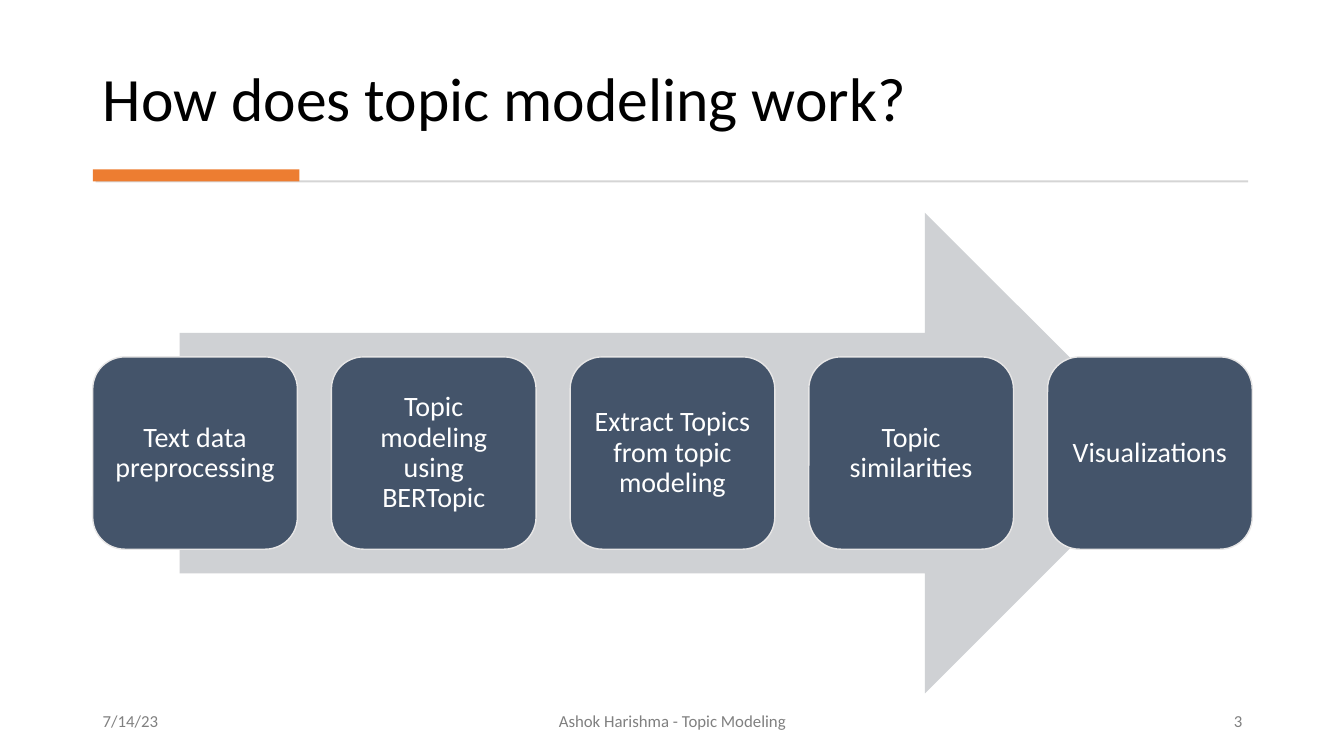
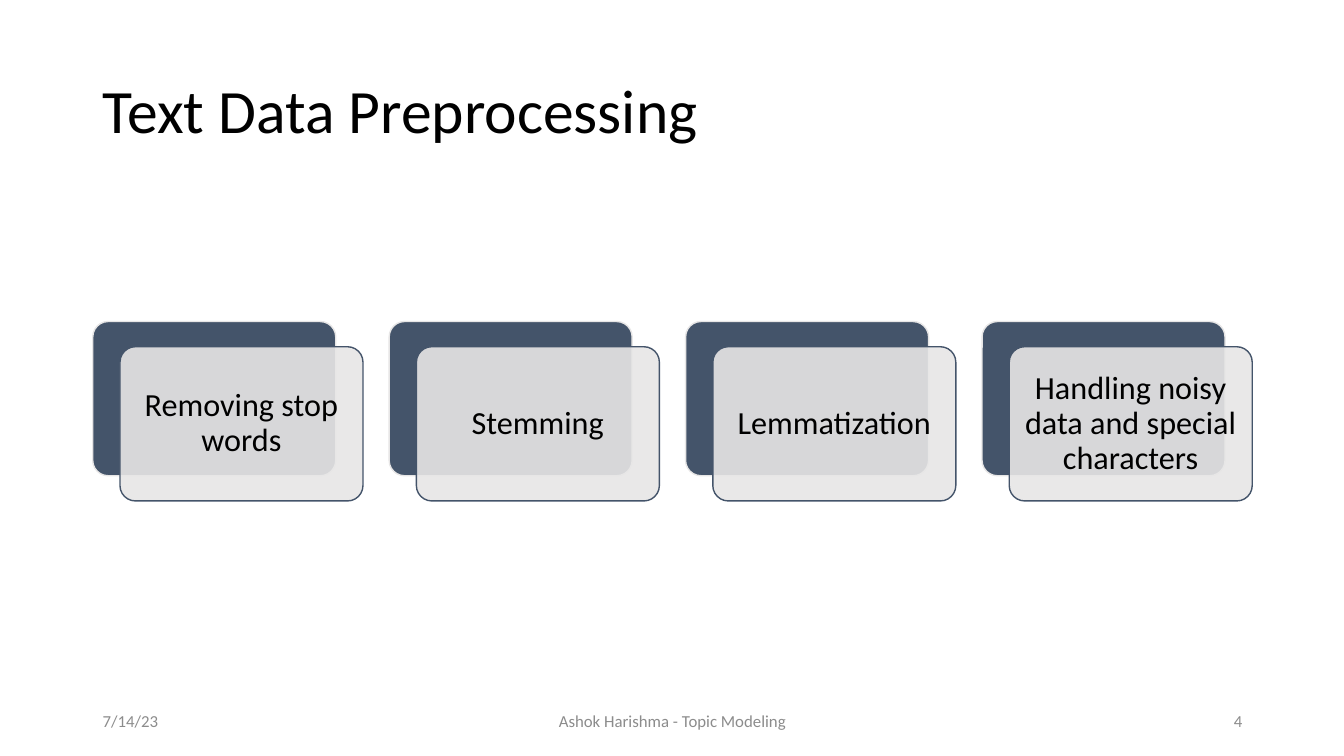
from dataclasses import dataclass

from lxml import etree
from pptx import Presentation
from pptx.dml.color import RGBColor
from pptx.enum import shapes, text
from pptx.oxml.ns import qn
from pptx.util import Inches, Pt


@dataclass(frozen=True)
class Theme:
    font: str = "Calibri"
    black: str = "000000"
    white: str = "FFFFFF"
    navy: str = "44546A"
    pale: str = "E7E6E6"
    accent: str = "ED7D31"
    rule: str = "D5D5D5"
    arrow: str = "CFD1D4"
    title_size: int = 44
    step_size: int = 20
    card_size: int = 23
    footer_size: int = 12


THEME = Theme()
SHAPE = shapes.MSO_SHAPE
ALIGN = text.PP_ALIGN
ANCHOR = text.MSO_ANCHOR
LEFT, WIDTH = 0.92, 11.5
LABEL_INSET = 0.09


def write(shape, words, size, color, align=ALIGN.LEFT, anchor=ANCHOR.MIDDLE, spacing=0.9):
    frame = shape.text_frame
    frame.word_wrap = True
    frame.auto_size = text.MSO_AUTO_SIZE.NONE
    frame.vertical_anchor = anchor
    para = frame.paragraphs[0]
    para.alignment = align
    para.line_spacing = spacing
    span = para.add_run()
    span.text = words
    span.font.name = THEME.font
    span.font.size = Pt(size)
    span.font.color.rgb = RGBColor.from_string(color)


def add_block(page, kind, box, fill, line=None, opacity=None):
    """Add a preset shape; opacity is a percentage."""
    shape = page.shapes.add_shape(kind, *map(Inches, box))
    shape.shadow.inherit = False
    shape.fill.solid()
    shape.fill.fore_color.rgb = RGBColor.from_string(fill)
    if opacity is not None:
        color = shape.fill._xPr.find(qn("a:solidFill"))[0]
        etree.SubElement(color, qn("a:alpha")).set("val", str(opacity * 1000))
    if line:
        shape.line.color.rgb = RGBColor.from_string(line)
        shape.line.width = Pt(1)
    else:
        shape.line.fill.background()
    return shape


def add_label(shape, words, size, color):
    frame = shape.text_frame
    frame.margin_left = frame.margin_right = Inches(LABEL_INSET)
    frame.margin_top = frame.margin_bottom = Inches(LABEL_INSET)
    write(shape, words, size, color, ALIGN.CENTER)


def add_footer(page, number, color):
    top, height, side, middle = 6.95, 0.4, 3, 4.5
    parts = (
        (LEFT, side, "7/14/23", ALIGN.LEFT),
        (LEFT + (WIDTH - middle) / 2, middle, "Ashok Harishma - Topic Modeling", ALIGN.CENTER),
        (LEFT + WIDTH - side, side, str(number), ALIGN.RIGHT),
    )
    for left, width, words, align in parts:
        box = page.shapes.add_textbox(*map(Inches, (left, top, width, height)))
        write(box, words, THEME.footer_size, color, align, spacing=1)


def add_page(deck, title, title_box, anchor, number, footer_color):
    page = deck.slides.add_slide(deck.slide_layouts[5])
    holder = page.shapes.title
    holder.left, holder.top, holder.width, holder.height = map(Inches, title_box)
    write(holder, title, THEME.title_size, THEME.black, anchor=anchor)
    add_footer(page, number, footer_color)
    return page


def column_lefts(box, count, width):
    """Left edges of equal columns that span the box from edge to edge."""
    pitch = (box[2] - width) / (count - 1)
    return [box[0] + i * pitch for i in range(count)]


def add_title_rule(page, left, top):
    add_block(page, SHAPE.RECTANGLE, (left + 0.03, top + 0.11, 11.43, 0.02), THEME.rule)
    add_block(page, SHAPE.RECTANGLE, (left, top, 2.05, 0.12), THEME.accent)


def add_process(page, box, steps):
    """Draw a wide arrow behind a row of steps centred on it."""
    left, top, width, height = box
    arrow_width = width * 0.85
    arrow_box = (left + (width - arrow_width) / 2, top, arrow_width, height)
    add_block(page, SHAPE.RIGHT_ARROW, arrow_box, THEME.arrow)
    step_width, step_height = 2.03, height * 0.4
    step_top = top + (height - step_height) / 2
    for step_left, words in zip(column_lefts(box, len(steps), step_width), steps):
        step_box = (step_left, step_top, step_width, step_height)
        step = add_block(page, SHAPE.ROUNDED_RECTANGLE, step_box, THEME.navy, THEME.pale)
        add_label(step, words, THEME.step_size, THEME.white)


def add_cards(page, box, labels):
    """Draw a row of cards, each a translucent panel offset from a dark one."""
    shift_x, shift_y, width = 0.27, 0.25, 2.41
    top, height = box[1], box[3] - shift_y
    for left, words in zip(column_lefts(box, len(labels), width + shift_x), labels):
        back_box = (left, top, width, height)
        front_box = (left + shift_x, top + shift_y, width, height)
        back = add_block(page, SHAPE.ROUNDED_RECTANGLE, back_box, THEME.navy, THEME.pale)
        front = add_block(page, SHAPE.ROUNDED_RECTANGLE, front_box, THEME.pale, THEME.navy, 90)
        back.adjustments[0] = front.adjustments[0] = 0.1
        add_label(front, words, THEME.card_size, THEME.black)


def build_workflow(deck):
    page = add_page(deck, "How does topic modeling work?", (LEFT, 0.28, WIDTH, 1.11),
                    ANCHOR.BOTTOM, 3, "808080")
    add_title_rule(page, LEFT, 1.68)
    add_process(page, (LEFT, 2.11, WIDTH, 4.77), (
        "Text data preprocessing",
        "Topic modeling using BERTopic",
        "Extract Topics from topic modeling",
        "Topic similarities",
        "Visualizations",
    ))


def build_preprocessing(deck):
    page = add_page(deck, "Text Data Preprocessing", (LEFT, 0.4, WIDTH, 1.45),
                    ANCHOR.MIDDLE, 4, "8C8C8C")
    add_cards(page, (LEFT, 3.19, WIDTH, 1.78), (
        "Removing stop words",
        "Stemming",
        "Lemmatization",
        "Handling noisy data and special characters",
    ))


def main():
    deck = Presentation()
    deck.slide_width, deck.slide_height = Inches(13.33), Inches(7.5)
    build_workflow(deck)
    build_preprocessing(deck)
    deck.save("out.pptx")


if __name__ == "__main__":
    main()
